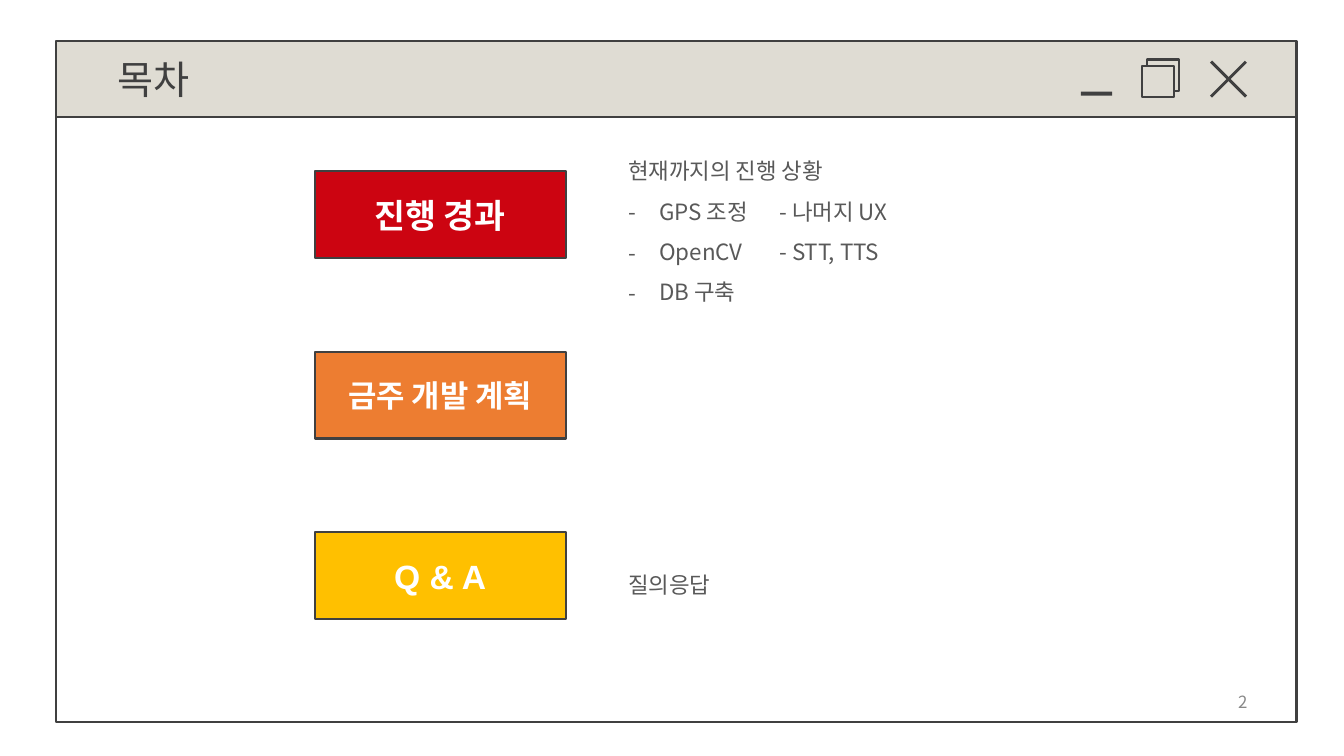
"""Build the contents slide: a window frame with three agenda buttons and their notes."""
from pptx import Presentation
from pptx import util as u
from pptx.dml.color import RGBColor
from pptx.enum import shapes, text
from pptx.oxml.ns import qn
from lxml import etree

INK, BAR, KR = "404040", "DFDCD3", "Noto Sans CJK KR"
LEFT, CENTER, RIGHT = text.PP_ALIGN.LEFT, text.PP_ALIGN.CENTER, text.PP_ALIGN.RIGHT
MIDDLE, TOP = text.MSO_ANCHOR.MIDDLE, text.MSO_ANCHOR.TOP

prs = Presentation()
prs.slide_width, prs.slide_height = u.Inches(13.33), u.Inches(7.5)
s = prs.slides.add_slide(prs.slide_layouts[6])


def rect(x, y, w, h, fill, line=None, rotation=0):
    """Add a rectangle; lengths are percentages of the slide's width and height."""
    W, H = prs.slide_width / 100, prs.slide_height / 100
    box = [int(x * W), int(y * H), int(w * W), int(h * H)]
    if fill is None:
        return s.shapes.add_textbox(*box)
    sp = s.shapes.add_shape(shapes.MSO_SHAPE.RECTANGLE, *box)
    sp.shadow.inherit = False
    sp.rotation = rotation
    sp.fill.solid()
    sp.fill.fore_color.rgb = RGBColor.from_string(fill)
    if line:
        sp.line.color.rgb = RGBColor.from_string(line)
        sp.line.width = u.Pt(1.5)
    else:
        sp.line.fill.background()
    return sp


def write(sp, lines, size, color, font=KR, bold=False, align=LEFT, anchor=MIDDLE, spacing=1.0):
    """Write paragraphs into a shape; those after the first are dash bullets."""
    tf = sp.text_frame
    frame = dict(word_wrap=True, vertical_anchor=anchor, margin_left=u.Inches(0.05),
                 margin_right=u.Inches(0.05), margin_top=u.Inches(0.05),
                 margin_bottom=u.Inches(0.05))
    for name, value in frame.items():
        setattr(tf, name, value)
    for i, line in enumerate(lines):
        p = tf.add_paragraph() if i else tf.paragraphs[0]
        p.alignment, p.line_spacing = align, spacing
        if i:
            pPr = p._p.get_or_add_pPr()
            pPr.set("marL", str(u.Inches(0.31)))
            pPr.set("indent", str(-u.Inches(0.31)))
            etree.SubElement(pPr, qn("a:buFont")).set("typeface", KR)
            etree.SubElement(pPr, qn("a:buChar")).set("char", "-")
        r = p.add_run()
        r.text = line
        for name, value in dict(name=font, size=u.Pt(size), bold=bold).items():
            setattr(r.font, name, value)
        r.font.color.rgb = RGBColor.from_string(color)
        etree.SubElement(r._r.get_or_add_rPr(), qn("a:ea")).set("typeface", KR)


title = rect(4.2, 5.47, 92.27, 10, BAR, INK)
write(title, ["목차"], 28, INK)
title.text_frame.margin_left = u.Inches(0.61)
rect(4.2, 15.47, 92.27, 80, "FFFFFF", INK)

rect(80.42, 12.13, 2.33, 0.53, INK)
for x, y in [(85.37, 7.87), (85, 8.67)]:
    rect(x, y, 2.33, 4.13, BAR, INK)
for angle in (45, 315):
    rect(89.57, 10.27, 3.68, 0.4, INK, rotation=angle)

buttons = [("진행 경과", 24, "CC0411"), ("금주 개발 계획", 22, "ED7D31"), ("Q & A", 24, "FFC000")]
for row, (label, size, fill) in enumerate(buttons):
    button = rect(23.41, 22.67 + 23.87 * row, 18.68, 11.47, fill, INK)
    write(button, [label], size, "FFFFFF", font="Arial", bold=True, align=CENTER)

progress = ["현재까지의 진행 상황", "GPS 조정\t- 나머지 UX", "OpenCV\t- STT, TTS", "DB 구축"]
for y, h, lines in [(18.4, 32.93, progress), (73.07, 4.8, ["질의응답"])]:
    write(rect(46.36, y, 28.66, h, None), lines, 16, "595959", anchor=TOP, spacing=1.5)

write(rect(91.6, 90.93, 1.58, 3.87, None), ["2"], 12, "888888", align=RIGHT)

prs.save("out.pptx")
